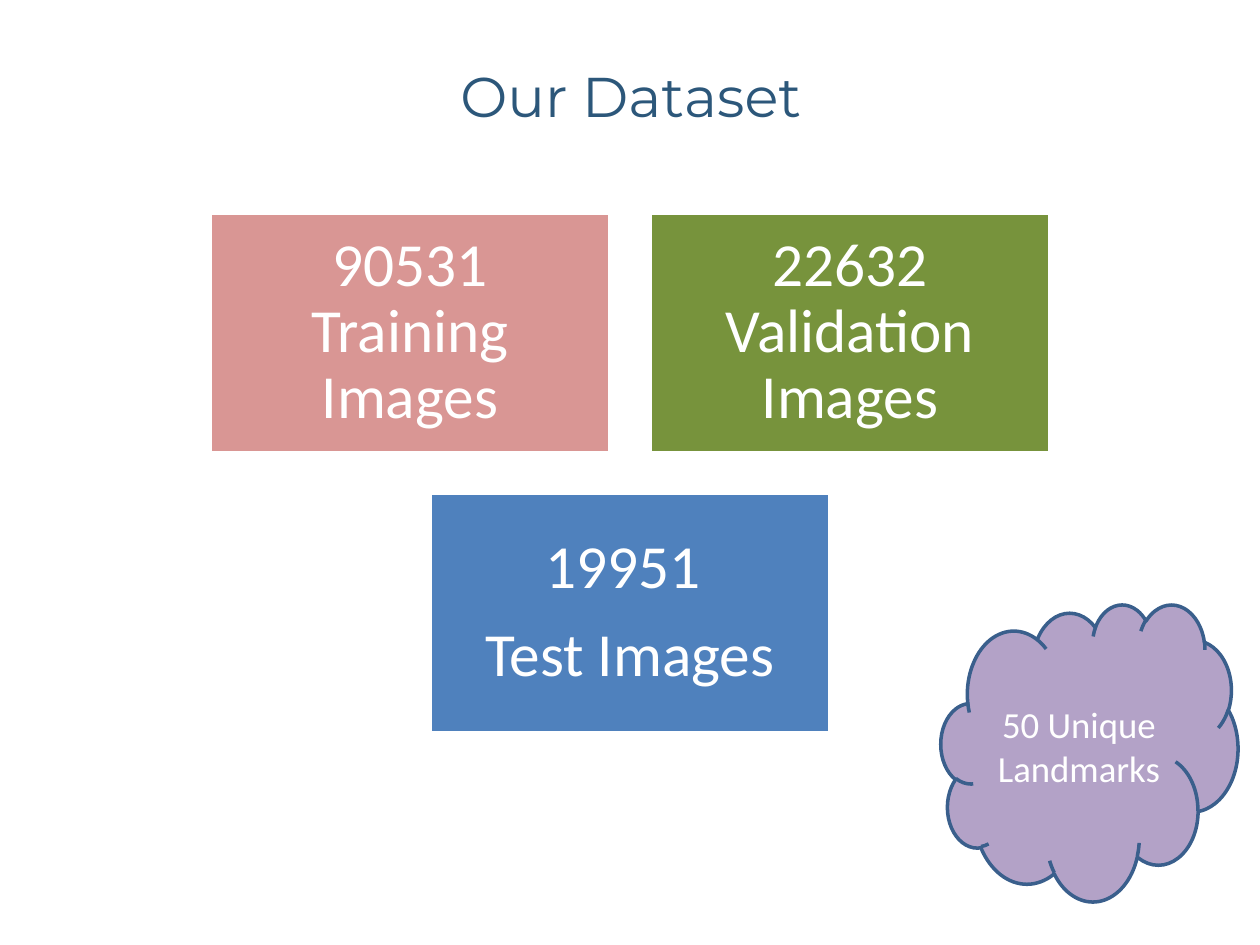
from pptx import Presentation
from pptx import util as u
from pptx.dml.color import RGBColor
from pptx.enum import shapes, text

# Content
TITLE = "Our Dataset"
ROWS = [
    [("90531 Training Images", "training"), ("22632 Validation Images", "validation")],
    [("19951 \nTest Images", "test")],
]
CLOUD = "50 Unique Landmarks"

COLOURS = {
    "title": "2C577A", "white": "FFFFFF", "training": "D99694",
    "validation": "77933C", "test": "4F81BD", "cloud": "B3A2C7", "outline": "3A5F8C",
}

# Layout in px
PX = u.Inches(1) // 126
SLIDE_W, SLIDE_H = 1260, 945
BOX_W, BOX_H, GAP, TOP = 400, 240, 40, 213
INSET = 19


def colour(name):
    return RGBColor.from_string(COLOURS[name])


def format_text(frame, font, size, colour_name):
    frame.word_wrap = True
    frame.vertical_anchor = text.MSO_ANCHOR.MIDDLE
    for paragraph in frame.paragraphs:
        paragraph.alignment = text.PP_ALIGN.CENTER
        for run in paragraph.runs:
            run.font.name = font
            run.font.size = u.Pt(size)
            run.font.color.rgb = colour(colour_name)


def add_shape(slide, kind, box, label, fill, line, size):
    shape = slide.shapes.add_shape(kind, *[value * PX for value in box])
    shape.shadow.inherit = False
    shape.fill.solid()
    shape.fill.fore_color.rgb = colour(fill)
    shape.line.color.rgb = colour(line)
    shape.line.width = u.Pt(2)
    shape.text_frame.text = label
    format_text(shape.text_frame, "Calibri", size, "white")
    return shape


presentation = Presentation()
presentation.slide_width = SLIDE_W * PX
presentation.slide_height = SLIDE_H * PX
slide = presentation.slides.add_slide(presentation.slide_layouts[5])

# Title
title = slide.shapes.title
title.left, title.top, title.width, title.height = [v * PX for v in (64, 16, 1134, 158)]
title.text_frame.text = TITLE
format_text(title.text_frame, "Montserrat", 32, "title")

# Image counts, each row centred on the slide
for row_index, row in enumerate(ROWS):
    row_width = len(row) * BOX_W + (len(row) - 1) * GAP
    left = (SLIDE_W - row_width) // 2
    top = TOP + row_index * (BOX_H + GAP)
    for column, (label, fill) in enumerate(row):
        box = (left + column * (BOX_W + GAP), top, BOX_W, BOX_H)
        shape = add_shape(slide, shapes.MSO_SHAPE.RECTANGLE, box, label, fill, "white", 35)
        frame = shape.text_frame
        frame.margin_left = frame.margin_right = INSET * PX
        frame.margin_top = frame.margin_bottom = INSET * PX
        for paragraph in frame.paragraphs:
            paragraph.line_spacing = 0.9
        for paragraph in frame.paragraphs[:-1]:
            paragraph.space_after = u.Pt(12.25)

# Landmark cloud
add_shape(slide, shapes.MSO_SHAPE.CLOUD, (941, 604, 297, 297), CLOUD, "cloud", "outline", 21)

presentation.save("out.pptx")
